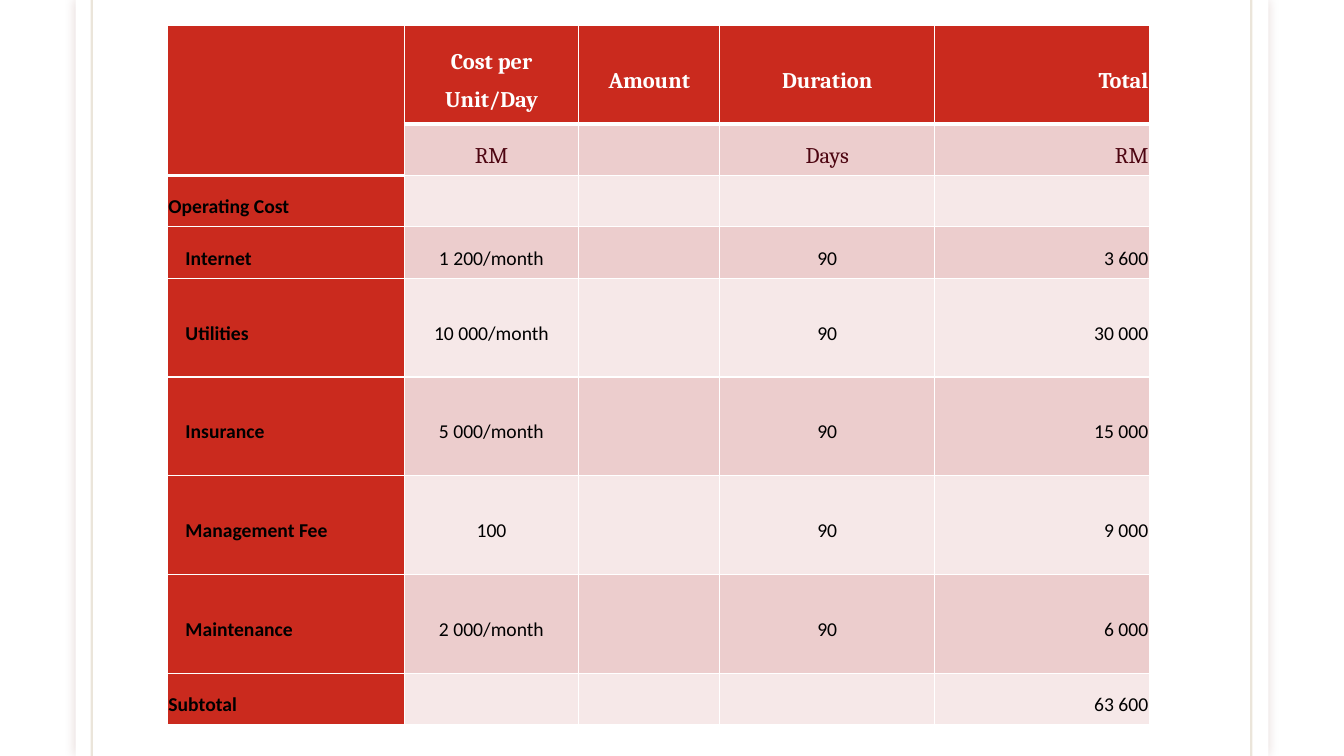
from lxml import etree
from pptx import Presentation
from pptx.dml.color import RGBColor
from pptx.enum.shapes import MSO_CONNECTOR, MSO_SHAPE
from pptx.enum.text import MSO_ANCHOR, PP_ALIGN
from pptx.oxml.ns import qn
from pptx.util import Inches, Pt

LEFT, CENTER, RIGHT = PP_ALIGN.LEFT, PP_ALIGN.CENTER, PP_ALIGN.RIGHT
MIDDLE = MSO_ANCHOR.MIDDLE
RECTANGLE = MSO_SHAPE.RECTANGLE
STRAIGHT = MSO_CONNECTOR.STRAIGHT

# Content
ROWS = [
    ("", "Cost per Unit/Day", "Amount", "Duration", "Total"),
    ("", "RM", "", "Days", "RM"),
    ("Operating Cost", "", "", "", ""),
    ("Internet", "1 200/month", "", "90", "3 600"),
    ("Utilities", "10 000/month", "", "90", "30 000"),
    ("Insurance", "5 000/month", "", "90", "15 000"),
    ("Management Fee", "100", "", "90", "9 000"),
    ("Maintenance", "2 000/month", "", "90", "6 000"),
    ("Subtotal", "", "", "", "63 600"),
]
ALIGNMENTS = (LEFT, CENTER, CENTER, CENTER, RIGHT)
COLUMN_WIDTHS = (2.35, 1.73, 1.4, 2.13, 2.13)
SHORT_ROW, TALL_ROW = 0.51, 0.98
TALL_ROWS = (0, 4, 5, 6, 7)
INDENTED_ROWS = range(3, 8)
UNIT_ROW = 1

THEME = {
    "paper": "FFFFFF", "rule": "79540B", "shadow": "65150F",
    "accent": "CA2A1E", "band_dark": "ECCDCD", "band_light": "F6E8E8",
    "border": "FFFFFF", "header_text": "FFFFFF", "unit_text": "4D0511",
    "body_text": "000000",
    "header_font": "Cambria", "body_font": "Calibri",
    "header_size": 16, "body_size": 14,
}


def color(name):
    return RGBColor.from_string(THEME[name])


def add_element(parent, tag, **attributes):
    return etree.SubElement(parent, qn(tag), {key: str(value) for key, value in attributes.items()})


def add_transparent_color(parent, name, percent):
    tint = add_element(parent, "a:srgbClr", val=THEME[name])
    add_element(tint, "a:alpha", val=percent * 1000)


def add_paper(slide):
    paper = slide.shapes.add_shape(RECTANGLE, Inches(0.75), 0, Inches(11.83), Inches(7.5))
    paper.shadow.inherit = False
    paper.fill.solid()
    paper.fill.fore_color.rgb = color("paper")
    paper.line.fill.background()
    effects = paper._element.spPr.find(qn("a:effectLst"))
    shadow = add_element(effects, "a:outerShdw", blurRad=Pt(7), dist=0, dir=0,
                         algn="ctr", rotWithShape=0)
    add_transparent_color(shadow, "shadow", 15)


def add_margin_rule(slide, x):
    rule = slide.shapes.add_connector(STRAIGHT, Inches(x), 0, Inches(x), Inches(7.5))
    rule.line.width = Pt(1.5)
    rule.line.fill.solid()
    rule.line.color.rgb = color("rule")
    properties = rule._element.spPr
    tint = properties.find(qn("a:ln")).find(qn("a:solidFill"))[0]
    add_element(tint, "a:alpha", val=15000)
    add_element(properties, "a:effectLst")


def edge_width(row, column):
    """Width of the border above a row: heavy right below the header."""
    header_end = 2 if column == 0 else 1
    return 3 if row == header_end else 1


def set_borders(cell, row, column):
    widths = {"L": 1, "R": 1, "T": edge_width(row, column), "B": edge_width(row + 1, column)}
    if column == 0 and row == 0:
        widths["B"] = 3
    properties = cell._tc.get_or_add_tcPr()
    for side, width in widths.items():
        line = add_element(properties, f"a:ln{side}", w=Pt(width), cmpd="sng")
        fill = add_element(line, "a:solidFill")
        add_element(fill, "a:srgbClr", val=THEME["border"])


def fill_name(row, column):
    if row == 0 or column == 0:
        return "accent"
    return "band_dark" if row % 2 else "band_light"


def write_text(cell, text, row, column):
    cell.vertical_anchor = MIDDLE
    cell.margin_left = cell.margin_right = Inches(0.01)
    cell.margin_top = cell.margin_bottom = Inches(0.01)
    paragraph = cell.text_frame.paragraphs[0]
    paragraph.text = text
    paragraph.alignment = ALIGNMENTS[column]
    paragraph.line_spacing = 1.5
    paragraph.space_after = Pt(8)
    if column == 0 and row in INDENTED_ROWS:
        paragraph._p.get_or_add_pPr().set("indent", str(Inches(0.17)))
    style = "header" if row <= UNIT_ROW else "body"
    text_color = "unit_text" if row == UNIT_ROW else f"{style}_text"
    font = paragraph.font
    font.name = THEME[f"{style}_font"]
    font.size = Pt(THEME[f"{style}_size"])
    font.bold = row == 0 or column == 0
    font.color.rgb = color(text_color)


def add_cost_table(slide):
    heights = [TALL_ROW if row in TALL_ROWS else SHORT_ROW for row in range(len(ROWS))]
    table = slide.shapes.add_table(
        len(ROWS), len(COLUMN_WIDTHS), Inches(1.66), Inches(0.25),
        Inches(sum(COLUMN_WIDTHS)), Inches(sum(heights))).table
    for column, width in zip(table.columns, COLUMN_WIDTHS):
        column.width = Inches(width)
    for table_row, height in zip(table.rows, heights):
        table_row.height = Inches(height)
    for row, texts in enumerate(ROWS):
        for column, text in enumerate(texts):
            cell = table.cell(row, column)
            set_borders(cell, row, column)
            cell.fill.solid()
            cell.fill.fore_color.rgb = color(fill_name(row, column))
            if text:
                write_text(cell, text, row, column)
    table.cell(0, 0).merge(table.cell(1, 0))


def main():
    presentation = Presentation()
    presentation.slide_width = Inches(13.33)
    presentation.slide_height = Inches(7.5)
    slide = presentation.slides.add_slide(presentation.slide_layouts[6])

    # Page backdrop
    add_paper(slide)
    for x in (0.91, 12.41):
        add_margin_rule(slide, x)

    # Operating costs
    add_cost_table(slide)
    presentation.save("out.pptx")


if __name__ == "__main__":
    main()
